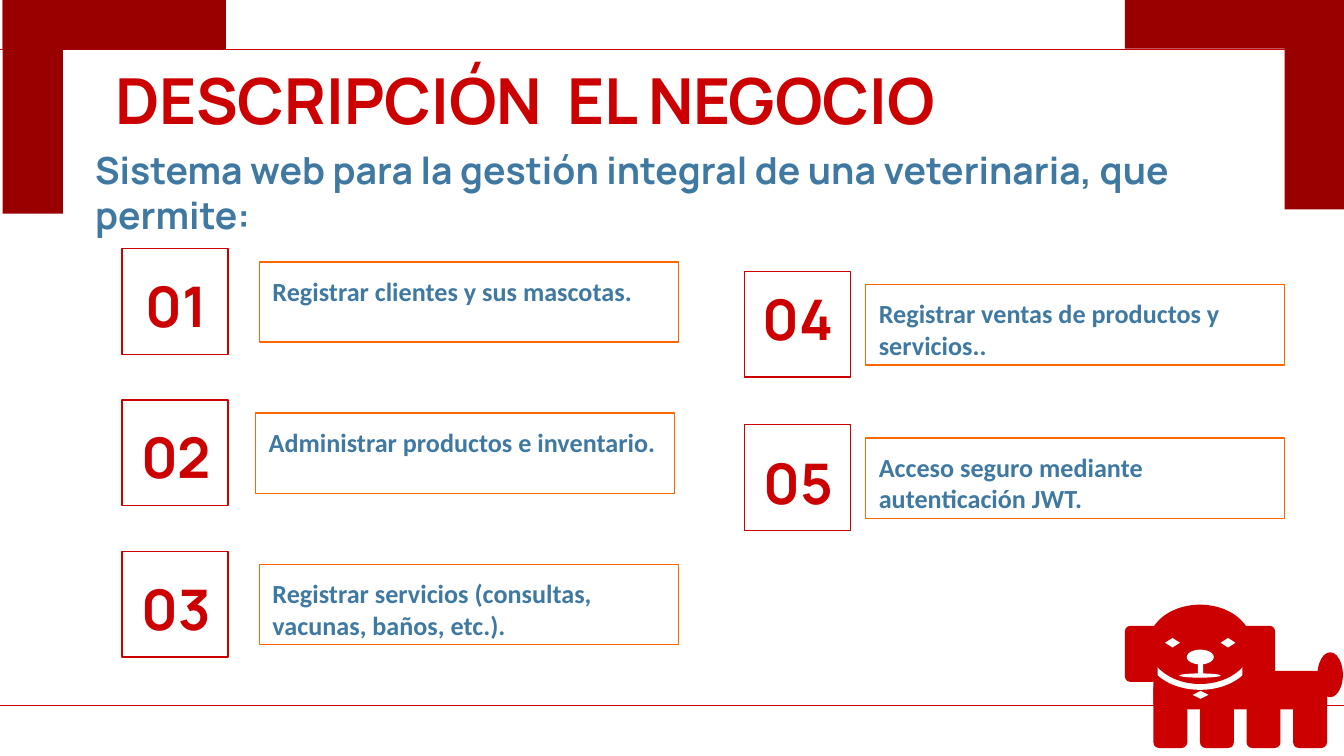
from dataclasses import dataclass
from lxml.etree import SubElement
from pptx import Presentation
from pptx.dml.color import RGBColor
from pptx.enum.shapes import MSO_CONNECTOR, MSO_SHAPE
from pptx.enum.text import MSO_ANCHOR, PP_ALIGN
from pptx.oxml.ns import qn
from pptx.util import Cm, Pt


@dataclass(frozen=True)
class Theme:
    red: str = "CC0000"
    dark: str = "990000"
    blue: str = "3F79A2"
    orange: str = "FF6600"
    white: str = "FFFFFF"
    head: str = "Manrope"
    body: str = "Calibri"
    title: int = 34
    number: int = 30
    lead: int = 20
    item: int = 14
    line: float = 0.75


theme = Theme()

# Content
TITLE = "DESCRIPCIÓN  EL NEGOCIO"
LEAD = "Sistema web para la gestión integral de una veterinaria, que permite:"

# Columns: left, top, row pitch, then (text, gap to its box, drop of the number)
COLUMNS = [
    (2.31, 4.7, 2.86, [
        ("Registrar clientes y sus mascotas.", 2.59, 0.18),
        ("Administrar productos e inventario.", 2.52, 0.18),
        ("Registrar servicios (consultas, vacunas, baños, etc.).", 2.59, 0.2),
    ]),
    (14.07, 5.13, 2.9, [
        ("Registrar ventas de productos y servicios..", 2.29, 0),
        ("Acceso seguro mediante autenticación JWT.", 2.29, 0.2),
    ]),
]

# Corner bars: left, top, width, height
BARS = [
    (24.28, 0, 1.12, 3.96), (21.26, 0, 4.14, 0.92),
    (0.05, 0, 1.14, 4.04), (0.05, 0, 4.22, 0.94),
]
RULES = [13.33, 0.94]

# Dog, from back to front: shape, colour, area
OVAL, ROUND, GEM = MSO_SHAPE.OVAL, MSO_SHAPE.ROUNDED_RECTANGLE, MSO_SHAPE.DIAMOND
LEGS = [(ROUND, theme.red, (21.8 + 0.88 * leg, 12.9, 0.64, 1.24))
        for leg in range(4)]
EARS = [(ROUND, theme.red, (x, 11.83, 0.62, 1.06)) for x in (21.26, 23.48)]
EYES = [(GEM, theme.white, (x, 12.06, 0.28, 0.18)) for x in (22.02, 23.07)]
DOG = LEGS + [
    (ROUND, theme.red, (21.8, 12.68, 3.28, 0.73)),
    (OVAL, theme.red, (24.9, 12.33, 0.48, 0.85)),
    (OVAL, theme.white, (21.66, 11.6, 2.04, 1.44)),
] + EARS + [
    (OVAL, theme.red, (21.7, 11.43, 1.96, 1.5)),
    (OVAL, theme.white, (22.43, 12.28, 0.51, 0.28)),
    (MSO_SHAPE.RECTANGLE, theme.white, (22.64, 12.5, 0.1, 0.25)),
    (OVAL, theme.white, (22.29, 12.73, 0.78, 0.08)),
    (GEM, theme.white, (22.54, 13.06, 0.3, 0.15)),
] + EYES


def color(code):
    return RGBColor.from_string(code)


def add_shape(slide, kind, area, fill=None, line=None):
    shape = slide.shapes.add_shape(kind, *map(Cm, area))
    shape.shadow.inherit = False
    if fill:
        shape.fill.solid()
        shape.fill.fore_color.rgb = color(fill)
    else:
        shape.fill.background()
    if line:
        shape.line.color.rgb = color(line)
        shape.line.width = Pt(theme.line)
    else:
        shape.line.fill.background()
    return shape


def add_box(slide, area, **paint):
    return add_shape(slide, MSO_SHAPE.RECTANGLE, area, **paint)


def write(shape, text, font, size, ink, align=PP_ALIGN.LEFT):
    frame = shape.text_frame
    frame.text = text
    frame.word_wrap = True
    frame.vertical_anchor = MSO_ANCHOR.TOP
    frame.margin_left = frame.margin_right = Cm(0.25)
    frame.margin_top = frame.margin_bottom = Cm(0.25)
    para = frame.paragraphs[0]
    para.alignment = align
    face = para.runs[0].font
    face.name, face.size, face.bold = font, Pt(size), True
    face.color.rgb = color(ink)


def add_text(slide, area, *style):
    write(slide.shapes.add_textbox(*map(Cm, area)), *style)


def add_rule(slide, y):
    rule = slide.shapes.add_connector(
        MSO_CONNECTOR.STRAIGHT, 0, Cm(y), Cm(25.4), Cm(y))
    rule.line.color.rgb = color(theme.red)
    rule.line.width = Pt(theme.line)
    SubElement(rule._element.spPr, qn("a:effectLst"))


def main():
    deck = Presentation()
    deck.slide_width, deck.slide_height = Cm(25.4), Cm(14.29)
    slide = deck.slides.add_slide(deck.slide_layouts[6])

    # Frame
    for y in RULES:
        add_rule(slide, y)
    for bar in BARS:
        add_box(slide, bar, fill=theme.dark)

    # Headings
    add_text(slide, (1.93, 0.91, 21.41, 1.6),
             TITLE, theme.head, theme.title, theme.red)
    add_text(slide, (1.55, 2.54, 22.56, 2.16),
             LEAD, theme.head, theme.lead, theme.blue)

    # Numbered items
    count = 0
    for left, top, pitch, items in COLUMNS:
        for row, (text, gap, drop) in enumerate(items):
            count += 1
            y = top + row * pitch
            add_box(slide, (left, y, 2, 2), line=theme.red)
            add_text(slide, (left - 0.3, y + drop, 2.64, 1.6), f"{count:02}",
                     theme.head, theme.number, theme.red, PP_ALIGN.CENTER)
            card = add_box(slide, (left + gap, y + 0.25, 7.92, 1.52),
                           line=theme.orange)
            write(card, text, theme.body, theme.item, theme.blue)

    # Dog
    for kind, fill, area in DOG:
        add_shape(slide, kind, area, fill=fill)

    deck.save("out.pptx")


if __name__ == "__main__":
    main()
